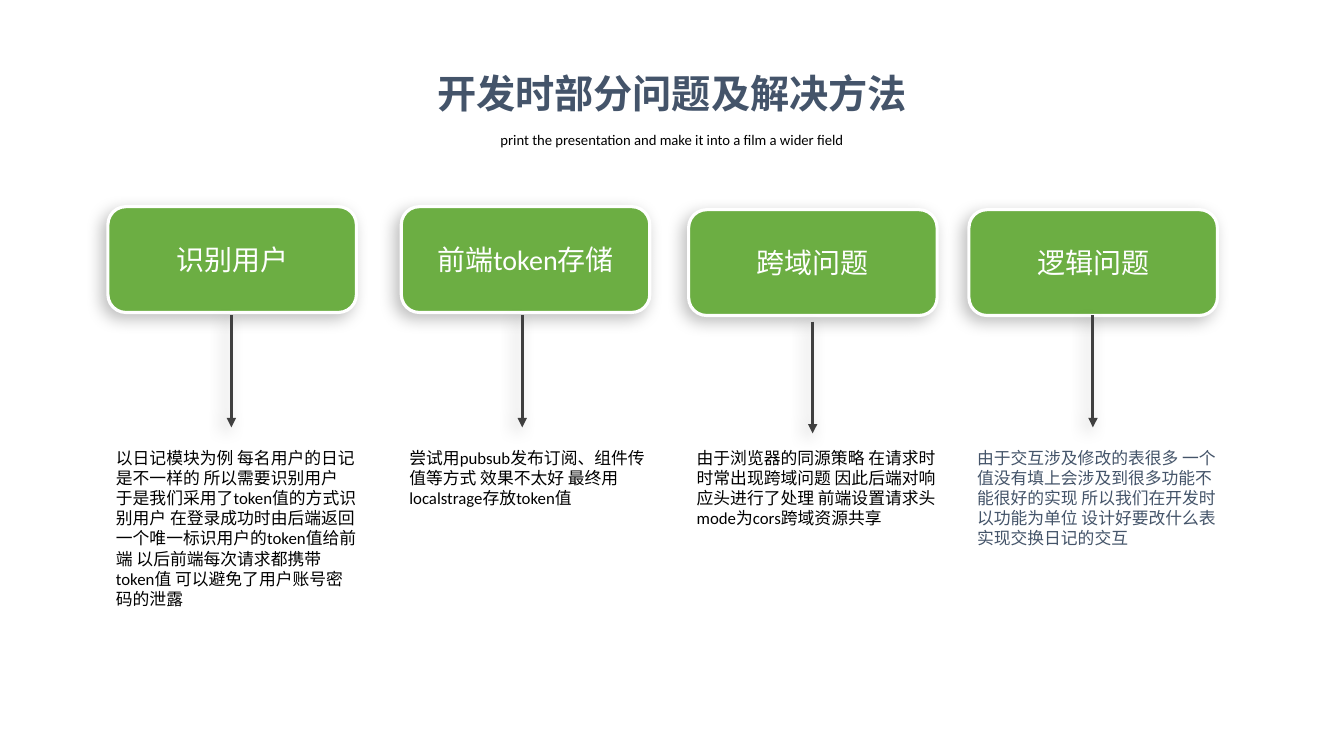
import pptx
import pptx.dml.color
import pptx.enum.shapes
import pptx.enum.text
import pptx.oxml
import pptx.oxml.ns
import pptx.util

# The slide is a grid of square cells, 75 rows high.
CELL = pptx.util.Inches(7.5) // 75
CARD_WIDTH, CARD_HEIGHT = 24.65, 10.5
ARROW_HEIGHT = 11.1
TEXT_TOP, TEXT_WIDTH, TEXT_INDENT = 44.4, 23.9, 0.8
GREEN, WHITE, BLACK = "6CAE43", "FFFFFF", "000000"
GREY, NAVY, SLATE = "404040", "44546A", "445469"

# heading, card left, card top, arrow column, arrow top, text rows, font, colour, text
PROBLEMS = [
    ("识别用户", 10.7, 20.5, 22.95, 31.3, 16.2, "Calibri", BLACK,
     "以日记模块为例 每名用户的日记是不一样的 所以需要识别用户 "
     "于是我们采用了token值的方式识别用户 在登录成功时由后端返回一个唯一标识用户的token值给前端 "
     "以后前端每次请求都携带token值 可以避免了用户账号密码的泄露"),
    ("前端token存储", 39.8, 20.5, 51.8, 31.3, 6.1, "Calibri", BLACK,
     "尝试用pubsub发布订阅、组件传值等方式 效果不太好 最终用localstrage存放token值"),
    ("跨域问题", 68.3, 20.8, 80.6, 31.9, 8.1, "Calibri", BLACK,
     "由于浏览器的同源策略 在请求时时常出现跨域问题 因此后端对响应头进行了处理 "
     "前端设置请求头mode为cors跨域资源共享"),
    ("逻辑问题", 96.1, 20.8, 108.4, 31.3, 10.1, "Arial", SLATE,
     "由于交互涉及修改的表很多 一个值没有填上会涉及到很多功能不能很好的实现 "
     "所以我们在开发时以功能为单位 设计好要改什么表 实现交换日记的交互"),
]


def cells(*counts):
    return [round(count * CELL) for count in counts]


def colour(hex_string):
    return pptx.dml.color.RGBColor.from_string(hex_string)


def write_text(shape, text, size, hex_string, font_name="Calibri", bold=False, centred=True):
    frame = shape.text_frame
    frame.word_wrap = True
    frame.text = text
    paragraph = frame.paragraphs[0]
    paragraph.line_spacing = 1.0
    paragraph.space_before = pptx.util.Pt(0)
    alignment = pptx.enum.text.PP_ALIGN
    paragraph.alignment = alignment.CENTER if centred else alignment.LEFT
    font = paragraph.runs[0].font
    font.name, font.size, font.bold = font_name, pptx.util.Pt(size), bold
    font.color.rgb = colour(hex_string)


def add_shadow(shape):
    """Cast a soft shadow down and to the left."""
    shape._element.spPr.append(pptx.oxml.parse_xml(
        f'<a:effectLst {pptx.oxml.ns.nsdecls("a")}>'
        '<a:outerShdw blurRad="152400" dist="63500" dir="8100000" algn="tr" rotWithShape="0">'
        '<a:srgbClr val="000000"><a:alpha val="26000"/></a:srgbClr>'
        '</a:outerShdw></a:effectLst>'))


def add_card(slide, heading, left, top):
    card = slide.shapes.add_shape(
        pptx.enum.shapes.MSO_SHAPE.ROUNDED_RECTANGLE,
        *cells(left, top, CARD_WIDTH, CARD_HEIGHT))
    card.adjustments[0] = 0.17
    card.fill.solid()
    card.fill.fore_color.rgb = colour(GREEN)
    card.line.color.rgb = colour(WHITE)
    card.line.width = pptx.util.Pt(2.25)
    add_shadow(card)
    card.text_frame.vertical_anchor = pptx.enum.text.MSO_ANCHOR.MIDDLE
    write_text(card, heading, 20, WHITE)


def add_down_arrow(slide, column, top):
    arrow = slide.shapes.add_connector(
        pptx.enum.shapes.MSO_CONNECTOR.STRAIGHT,
        *cells(column, top, column, top + ARROW_HEIGHT))
    arrow.line.color.rgb = colour(GREY)
    arrow.line.width = pptx.util.Pt(2.25)
    arrow.line._get_or_add_ln().append(pptx.oxml.parse_xml(
        f'<a:tailEnd {pptx.oxml.ns.nsdecls("a")} type="triangle"/>'))
    add_shadow(arrow)


def add_description(slide, text, left, height, font_name, hex_string):
    box = slide.shapes.add_textbox(*cells(left, TEXT_TOP, TEXT_WIDTH, height))
    frame = box.text_frame
    frame.margin_left = frame.margin_top = frame.margin_right = frame.margin_bottom = 0
    write_text(box, text, 12, hex_string, font_name, centred=False)


def add_headings(slide):
    title = slide.shapes.title
    title.left, title.top, title.width, title.height = cells(41.6, 6.4, 50.1, 5.7)
    title.text_frame.vertical_anchor = pptx.enum.text.MSO_ANCHOR.TOP
    title.text_frame.auto_size = pptx.enum.text.MSO_AUTO_SIZE.NONE
    write_text(title, "开发时部分问题及解决方法", 28, NAVY, bold=True)
    subtitle = slide.shapes.add_textbox(*cells(44.2, 12.5, 44.9, 2.8))
    write_text(subtitle, "print the presentation and make it into a film a wider field",
               10.5, BLACK)


def main():
    presentation = pptx.Presentation()
    presentation.slide_width = pptx.util.Inches(13.33)
    presentation.slide_height = 75 * CELL
    slide = presentation.slides.add_slide(
        presentation.slide_layouts.get_by_name("Title Only"))
    add_headings(slide)
    for heading, left, top, column, arrow_top, rows, font_name, hex_string, text in PROBLEMS:
        add_card(slide, heading, left, top)
        add_down_arrow(slide, column, arrow_top)
        add_description(slide, text, left + TEXT_INDENT, rows, font_name, hex_string)
    presentation.save("out.pptx")


if __name__ == "__main__":
    main()
